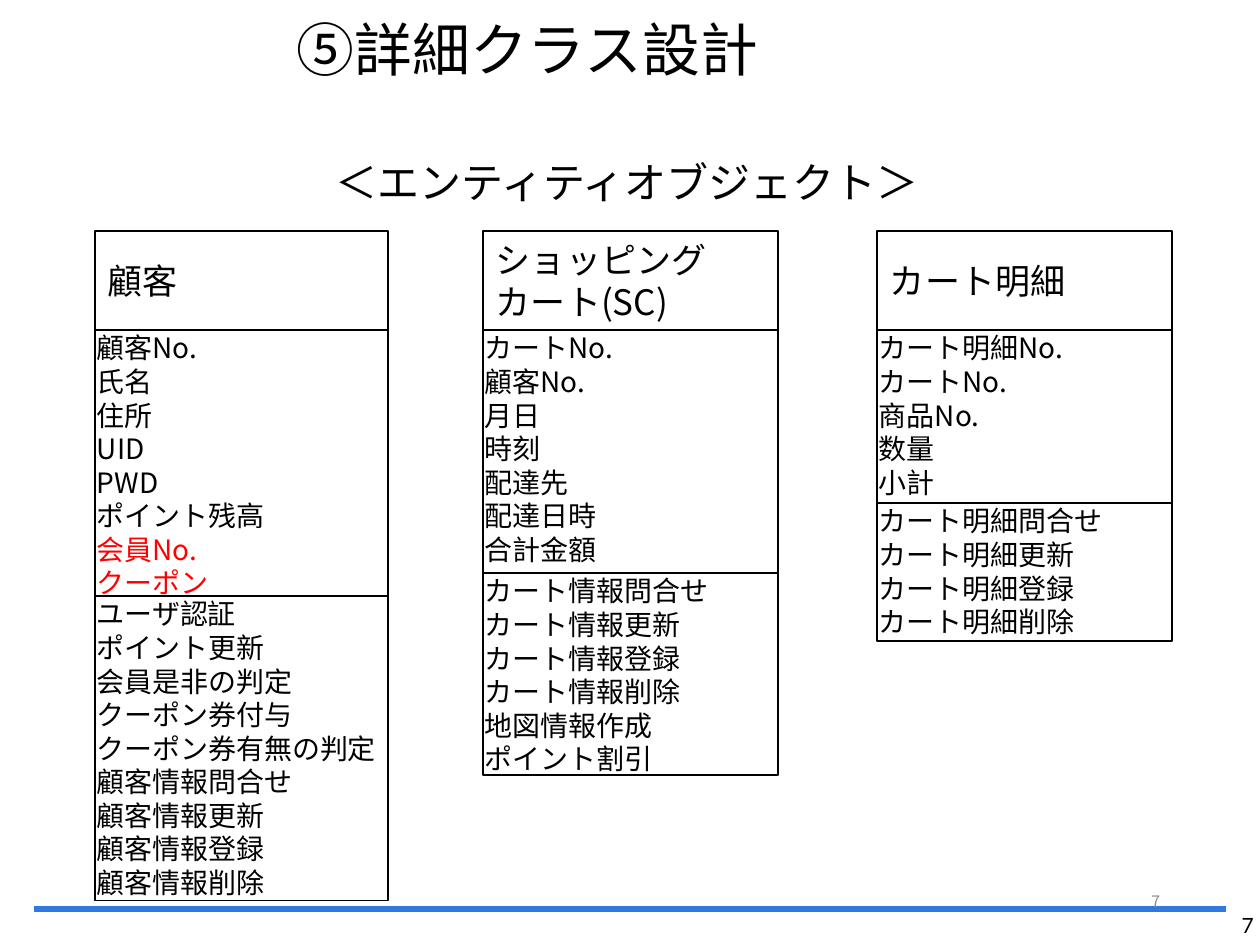
from dataclasses import dataclass

from lxml import etree
from pptx import Presentation
from pptx.dml.color import RGBColor
from pptx.enum.shapes import MSO_CONNECTOR, MSO_SHAPE
from pptx.enum.text import MSO_ANCHOR, PP_ALIGN
from pptx.oxml.ns import qn
from pptx.util import Emu, Pt

RECTANGLE = MSO_SHAPE.RECTANGLE
STRAIGHT = MSO_CONNECTOR.STRAIGHT
TOP, MIDDLE = MSO_ANCHOR.TOP, MSO_ANCHOR.MIDDLE
LEFT, RIGHT = PP_ALIGN.LEFT, PP_ALIGN.RIGHT
PIXEL = 914400 // 126
NORMAL_INSETS = (13, 6)
TIGHT_INSETS = (2, 1)


@dataclass(frozen=True)
class Theme:
    body_font: str = "Noto Sans CJK JP"
    number_font: str = "Lato"
    ink: RGBColor = RGBColor(0, 0, 0)
    paper: RGBColor = RGBColor(255, 255, 255)
    added: RGBColor = RGBColor(255, 0, 0)
    muted: RGBColor = RGBColor(0x8C, 0x8C, 0x8C)
    rule: RGBColor = RGBColor(0x31, 0x78, 0xE1)
    title: int = 33
    heading: int = 24
    class_name: int = 20
    member: int = 16
    page: int = 12
    small_page: int = 9
    leading: float = 1.2


THEME = Theme()

CLASSES = [
    (95, 293, "顧客",
     266, ["顧客No.", "氏名", "住所", "UID", "PWD", "ポイント残高", "会員No.", "クーポン"],
     305, ["ユーザ認証", "ポイント更新", "会員是非の判定", "クーポン券付与",
           "クーポン券有無の判定", "顧客情報問合せ", "顧客情報更新",
           "顧客情報登録", "顧客情報削除"]),
    (877, 295, "カート明細",
     173, ["カート明細No.", "カートNo.", "商品No.", "数量", "小計"],
     138, ["カート明細問合せ", "カート明細更新", "カート明細登録", "カート明細削除"]),
    (483, 295, "ショッピングカート(SC)",
     243, ["カートNo.", "顧客No.", "月日", "時刻", "配達先", "配達日時", "合計金額"],
     202, ["カート情報問合せ", "カート情報更新", "カート情報登録",
           "カート情報削除", "地図情報作成", "ポイント割引"]),
]
ADDED_MEMBERS = {"会員No.", "クーポン"}


def px(*lengths):
    return [Emu(length * PIXEL) for length in lengths]


def write(holder, lines, size, color=THEME.ink, font=THEME.body_font, align=LEFT,
          anchor=TOP, insets=NORMAL_INSETS, wrap=True):
    frame = holder.text_frame
    frame.word_wrap = wrap
    frame.vertical_anchor = anchor
    frame.margin_left, frame.margin_top = px(*insets)
    frame.margin_right, frame.margin_bottom = px(*insets)
    frame.text = "\n".join(lines)
    for paragraph in frame.paragraphs:
        paragraph.alignment = align
        paragraph.line_spacing = Pt(size * THEME.leading)
        paragraph.font.size = Pt(size)
        paragraph.font.name = font
        paragraph.font.color.rgb = THEME.added if paragraph.text in ADDED_MEMBERS else color
        for properties in paragraph._p.iter(qn("a:defRPr")):
            etree.SubElement(properties, qn("a:ea")).set("typeface", font)


def add_label(slide, box, text, size, **style):
    write(slide.shapes.add_textbox(*px(*box)), [text], size, **style)


def add_compartment(group, box, lines, size, **style):
    compartment = group.shapes.add_shape(RECTANGLE, *px(*box))
    compartment.shadow.inherit = False
    compartment.fill.solid()
    compartment.fill.fore_color.rgb = THEME.paper
    compartment.line.color.rgb = THEME.ink
    compartment.line.width = Pt(0.75)
    write(compartment, lines, size, **style)


def add_class(slide, left, top, width, name, attributes_height, attributes,
              operations_height, operations):
    name_height = 99
    group = slide.shapes.add_group_shape()
    add_compartment(group, (left, top, width, name_height), [name],
                    THEME.class_name, anchor=MIDDLE)
    member_top = top + name_height
    for height, members in ((attributes_height, attributes),
                            (operations_height, operations)):
        add_compartment(group, (left, member_top, width, height), members,
                        THEME.member, insets=TIGHT_INSETS, wrap=False)
        member_top += height


def add_footer(slide, left, top, width):
    rule = slide.shapes.add_connector(STRAIGHT, *px(left, top, left + width, top))
    rule.line.color.rgb = THEME.rule
    rule.line.width = Pt(3)
    etree.SubElement(rule._element.spPr, qn("a:effectLst"))
    add_label(slide, (left + 1142, top + 3, 78, 26), "7", THEME.page,
              font=THEME.number_font, align=RIGHT, insets=(0, 1))
    add_label(slide, (left + 856, top - 33, 283, 50), "7", THEME.small_page,
              color=THEME.muted, align=RIGHT, anchor=MIDDLE)


def add_headings(slide, left, top):
    add_label(slide, (left, top, 976, 96), "⑤詳細クラス設計", THEME.title, anchor=MIDDLE)
    add_label(slide, (left + 39, top + 151, 619, 63), "＜エンティティオブジェクト＞",
              THEME.heading, wrap=False)


def build():
    presentation = Presentation()
    presentation.slide_width, presentation.slide_height = px(1260, 945)
    slide = presentation.slides.add_slide(presentation.slide_layouts[6])
    add_footer(slide, 34, 909, 1192)
    add_headings(slide, 284, 0)
    for left, width, *content in CLASSES:
        add_class(slide, left, 231, width, *content)
    presentation.save("out.pptx")


build()
